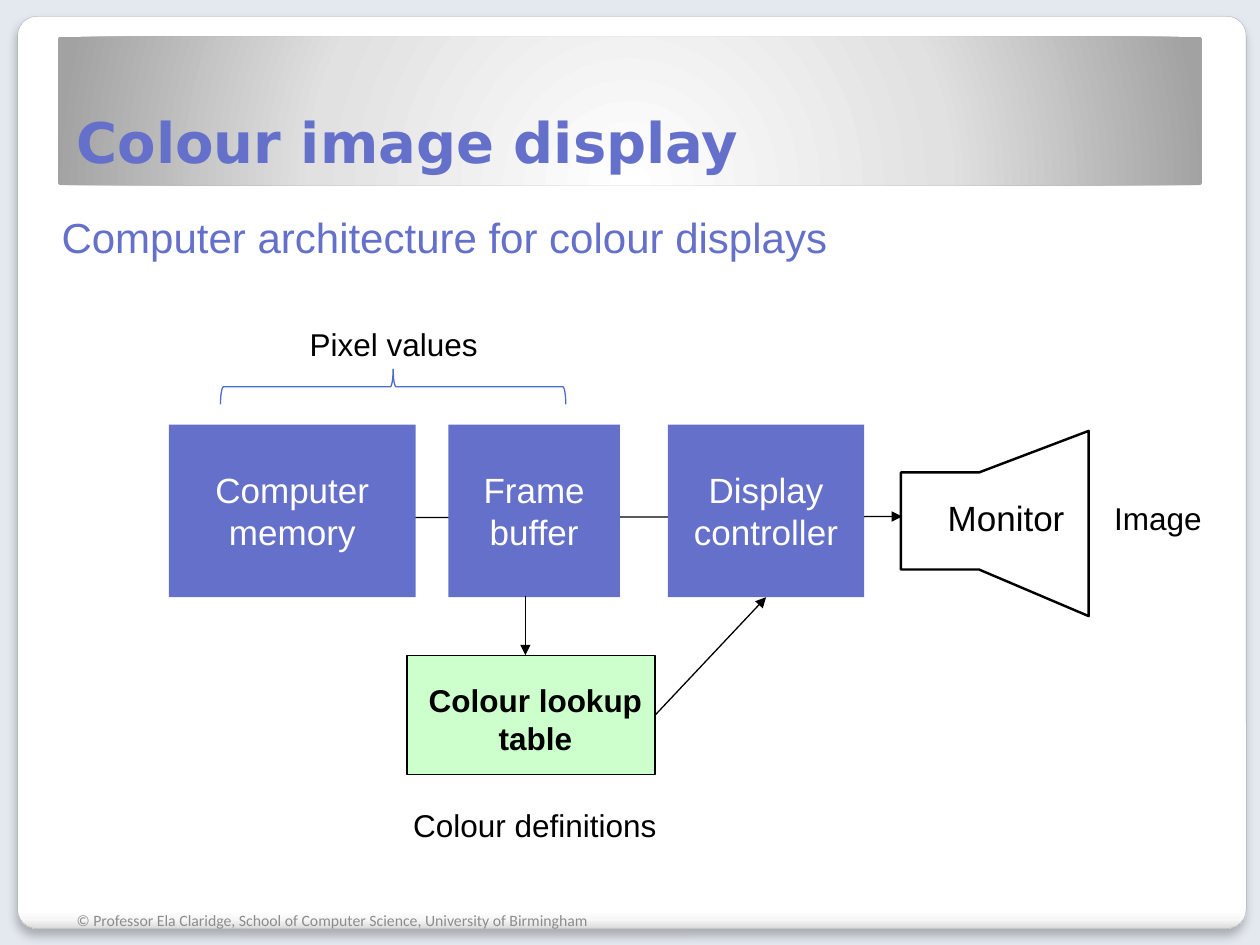
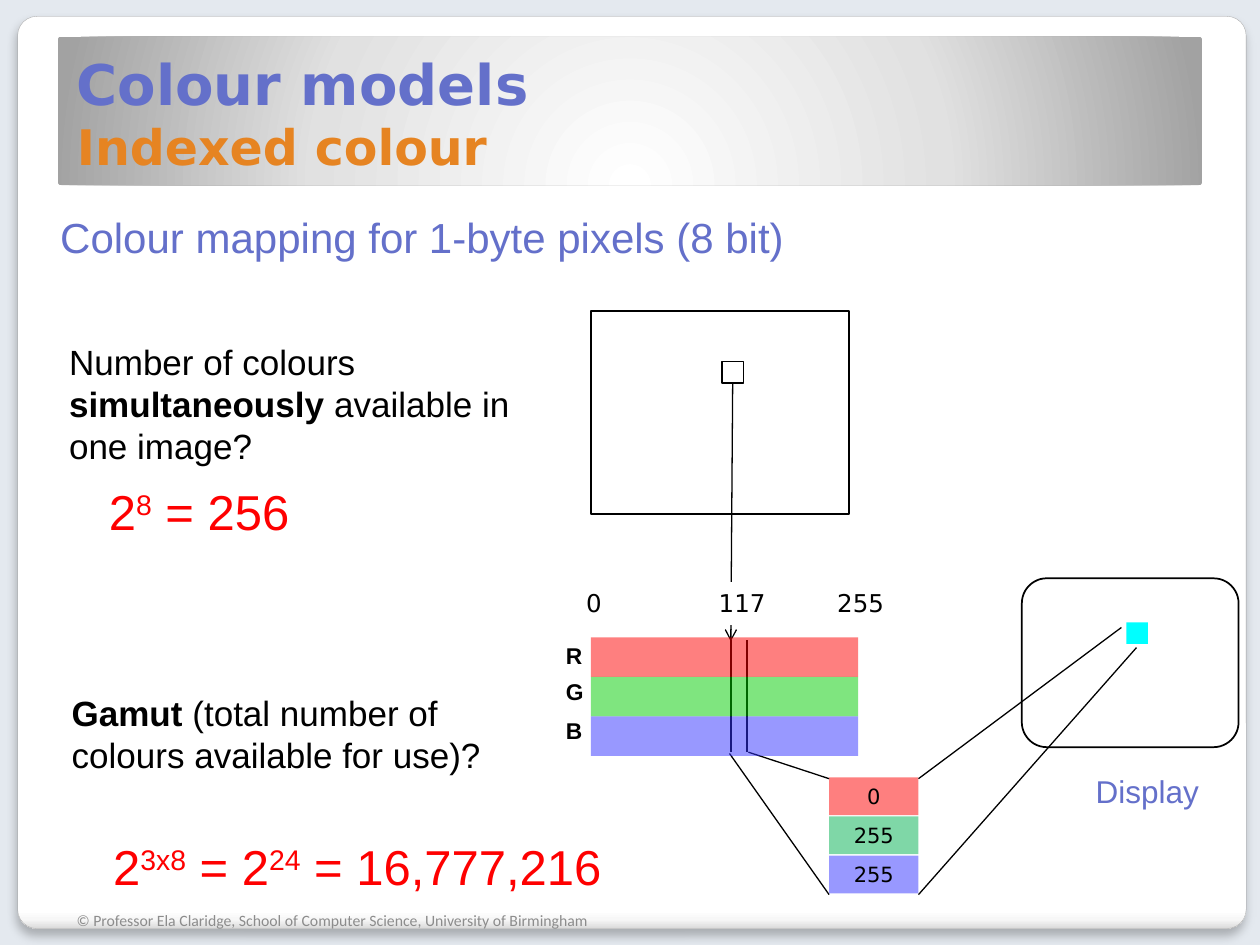
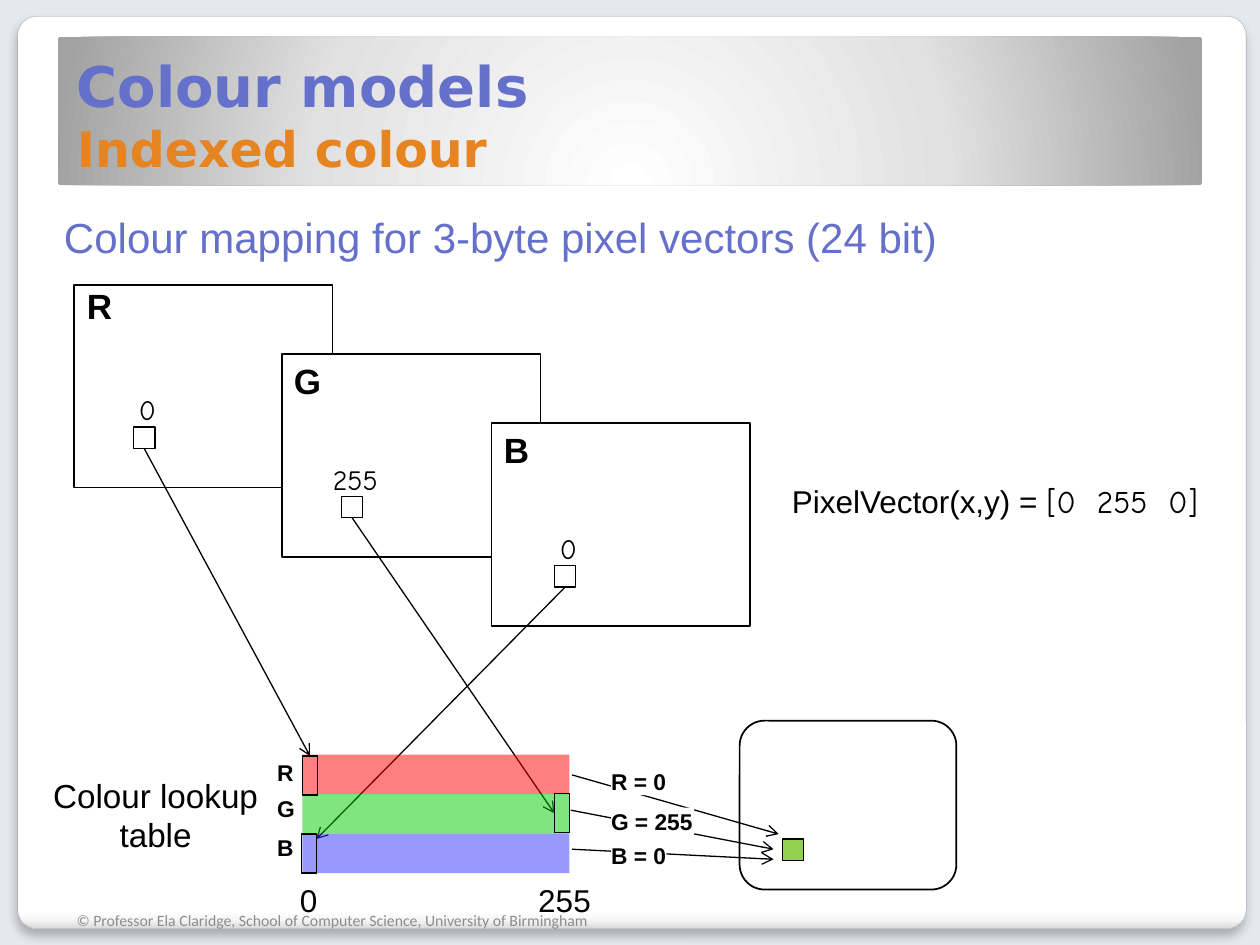
import copy

import lxml.etree
import pptx
import pptx.dml.color
import pptx.enum.shapes
import pptx.enum.text
import pptx.oxml.ns
import pptx.util

Inches, Pt, qn = pptx.util.Inches, pptx.util.Pt, pptx.oxml.ns.qn
SHAPE = pptx.enum.shapes.MSO_SHAPE
ANCHOR = pptx.enum.text.MSO_ANCHOR
LEFT, CENTER = pptx.enum.text.PP_ALIGN.LEFT, pptx.enum.text.PP_ALIGN.CENTER
AUTO = pptx.enum.text.MSO_AUTO_SIZE

BLACK, WHITE, INDIGO, ORANGE = "000000", "FFFFFF", "6470CA", "E68422"
RED, GREEN, BLUE = "FE0000", "00CC00", "3333FF"
SUP = {"base": 30}
PIXEL = 0.17
FRAME = (2.05, 1.61)
TABLE_W, TABLE_H = 2.12, 0.94
FOOTER = ("© Professor Ela Claridge, School of Computer Science, "
          "University of Birmingham")


def rgb(value):
    return pptx.dml.color.RGBColor.from_string(value)


def child(parent, tag, **attrs):
    return lxml.etree.SubElement(
        parent, qn(tag), {k: str(v) for k, v in attrs.items()})


def inches(values):
    return [Inches(v) for v in values]


class Deck:
    """Holds the shared style and the slide being drawn."""

    def __init__(self):
        self.prs = pptx.Presentation()
        self.prs.slide_width, self.prs.slide_height = inches((10, 7.5))
        fill = self.prs.slide_master.background.fill
        fill.solid()
        fill.fore_color.rgb = rgb("E4E9EF")
        self.s = None

    def slide(self, title, subtitle=None, box=(0.51, 0.29, 8.95, 1.15)):
        self.s = self.prs.slides.add_slide(self.prs.slide_layouts[5])
        self.background()
        sp = self.s.shapes.title
        self.s.shapes.element.append(sp.element)
        sp.left, sp.top, sp.width, sp.height = inches(box)
        tf = sp.text_frame
        tf.auto_size = AUTO.NONE
        tf.vertical_anchor = ANCHOR.BOTTOM
        p = tf.paragraphs[0]
        p.alignment = LEFT
        style = dict(font="DejaVu Sans", bold=True)
        self.runs(p, [title], size=32, color=INDIGO, **style)
        if subtitle:
            p.add_line_break()
            # The break takes the size of the line it ends.
            p._p[-1].append(copy.deepcopy(p.runs[0]._r.rPr))
            self.runs(p, [subtitle], size=28, color=ORANGE, **style)

    def background(self):
        card = self.shape((0.14, 0.13, 9.75, 7.24), SHAPE.ROUNDED_RECTANGLE,
                          line="A4A4A4", width=0.16, adj=0.021)
        grad = self.gradient(card, [(0, WHITE), (98, WHITE), (99, "F7F7F7"),
                                    (100, "DADADA")])
        child(grad, "a:lin", ang=90 * 60000, scaled=0)
        shadow = child(card.element.spPr.find(qn("a:effectLst")),
                       "a:outerShdw", blurRad=Pt(6), dist=Pt(4),
                       dir=90 * 60000, algn="ctr", rotWithShape=0)
        color = child(shadow, "a:srgbClr", val=BLACK)
        child(color, "a:alpha", val=25000)

        band = self.shape((0.46, 0.29, 9.08, 1.18), SHAPE.ROUNDED_RECTANGLE,
                          adj=0.021)
        grad = self.gradient(band, [(0, WHITE), (55, "E1E1E1"),
                                    (100, "A2A2A2")])
        circle = child(grad, "a:path", path="circle")
        child(circle, "a:fillToRect", l=50000, t=175000, r=50000, b=-75000)

    def gradient(self, sp, stops):
        """Sets the colour stops; the caller adds the direction."""
        sp.fill.gradient()
        grad = sp.element.spPr.find(qn("a:gradFill"))
        for old in list(grad):
            grad.remove(old)
        gs_list = child(grad, "a:gsLst")
        for pos, color in stops:
            child(child(gs_list, "a:gs", pos=pos * 1000), "a:srgbClr",
                  val=color)
        return grad

    def paint(self, sp, fill=None, line=None, width=0.75, alpha=None):
        if fill:
            sp.fill.solid()
            sp.fill.fore_color.rgb = rgb(fill)
            if alpha:
                color = sp.element.spPr.find(qn("a:solidFill"))[0]
                child(color, "a:alpha", val=alpha * 1000)
        else:
            sp.fill.background()
        if line:
            sp.line.color.rgb = rgb(line)
            sp.line.width = Pt(width)
        else:
            sp.line.fill.background()

    def shape(self, box, kind=SHAPE.RECTANGLE, adj=None, text=None,
              text_style=None, **look):
        sp = self.s.shapes.add_shape(kind, *inches(box))
        sp.shadow.inherit = False
        if adj is not None:
            sp.adjustments[0] = adj
        self.paint(sp, **look)
        if text:
            sp.text_frame.vertical_anchor = ANCHOR.MIDDLE
            p = sp.text_frame.paragraphs[0]
            p.alignment = CENTER
            self.runs(p, [text], **text_style)
        return sp

    def outline(self, points, width):
        start, *rest = [inches(pt) for pt in points]
        builder = self.s.shapes.build_freeform(*start, scale=1.0)
        builder.add_line_segments(rest, close=True)
        sp = builder.convert_to_shape()
        sp.shadow.inherit = False
        self.paint(sp, line=BLACK, width=width)

    def line(self, start, end, width=0.75, head=None):
        c = self.s.shapes.add_connector(
            pptx.enum.shapes.MSO_CONNECTOR.STRAIGHT, *inches(start + end))
        c.line.color.rgb = rgb(BLACK)
        c.line.width = Pt(width)
        spPr = c.element.find(qn("p:spPr"))
        if head:
            child(spPr.find(qn("a:ln")), "a:tailEnd", type=head)
        child(spPr, "a:effectLst")
        return c

    def runs(self, p, runs, **style):
        """Adds runs: plain strings, or (string, changes to the style)."""
        for item in runs:
            text, change = (item, {}) if isinstance(item, str) else item
            look = {"font": "Arial", "color": BLACK, "bold": False,
                    **style, **change}
            r = p.add_run()
            r.text = text
            r.font.name = look["font"]
            r.font.size = Pt(look["size"])
            r.font.bold = look["bold"]
            r.font.color.rgb = rgb(look["color"])
            if "base" in look:
                r._r.rPr.set("baseline", str(look["base"] * 1000))

    def text(self, box, *paragraphs, wrap=False, align=CENTER, inset=True,
             fill=None, anchor=ANCHOR.TOP, grow=True, **style):
        sp = self.s.shapes.add_textbox(*inches(box))
        if fill:
            self.paint(sp, fill)
        tf = sp.text_frame
        tf.word_wrap = wrap
        tf.auto_size = AUTO.SHAPE_TO_FIT_TEXT if grow else AUTO.NONE
        tf.vertical_anchor = anchor
        if not inset:
            tf.margin_left = tf.margin_right = 0
            tf.margin_top = tf.margin_bottom = 0
        for i, runs in enumerate(paragraphs):
            p = tf.add_paragraph() if i else tf.paragraphs[0]
            p.alignment = align
            self.runs(p, [runs] if isinstance(runs, str) else runs, **style)

    def heading(self, left, width, text):
        self.text((left, 1.63, width, 0.5), text, wrap=True, align=LEFT,
                  size=24, color=INDIGO)

    def footer(self):
        self.text((0.51, 7.1, 4.46, 0.4), FOOTER, wrap=True, align=LEFT,
                  anchor=ANCHOR.MIDDLE, grow=False, size=9, font="Calibri",
                  color="8C8C8C")

    def frame(self, left, top):
        self.shape((left, top) + FRAME, fill=WHITE, line=BLACK, width=1)

    def pixel(self, left, top, fill=None, line=BLACK):
        return self.shape((left, top, PIXEL, PIXEL), fill=fill, line=line)

    def screen(self, left, top):
        self.shape((left, top, 1.72, 1.34), SHAPE.ROUNDED_RECTANGLE,
                   adj=0.148, fill=WHITE, line=BLACK, width=1)

    def lookup_table(self, left, top):
        """Three translucent bands with the letters R, G and B."""
        band_h = TABLE_H / 3
        for i, color in enumerate((RED, GREEN, BLUE)):
            self.shape((left, top + i * band_h, TABLE_W, band_h),
                       fill=color, alpha=50)
        for letter, dy in zip("RGB", (0.03, 0.32, 0.63)):
            self.text((left - 0.2, top + dy, 0.12, 0.22), letter,
                      inset=False, size=13, bold=True)


def display_slide(d):
    d.slide("Colour image display")
    d.line((1.81, 4.11), (7.16, 4.1), head="triangle")
    boxes = [d.shape((left, 3.37, width, 1.37), fill=INDIGO, text=name,
                     text_style=dict(size=20, color=WHITE))
             for left, width, name in ((1.34, 1.96, "Computer memory"),
                                       (3.56, 1.36, "Frame buffer"),
                                       (5.3, 1.56, "Display controller"))]
    controller = boxes[-1]

    d.outline([(7.15, 3.75), (7.15, 4.52), (7.77, 4.52), (8.64, 4.89),
               (8.64, 3.42), (7.77, 3.75)], width=1.38)
    d.text((7.42, 3.89, 1.13, 0.43), "Monitor", size=20)

    lookup = d.shape((3.23, 5.2, 1.97, 0.95), fill="CCFFCC", line=BLACK)
    d.text((3.3, 5.36, 1.9, 0.7), "Colour lookup", "table", size=18,
           bold=True)
    arrow = d.line((5.2, 5.67), (6.06, 4.73), head="triangle")
    arrow.begin_connect(lookup, 3)
    arrow.end_connect(controller, 2)
    d.line((4.17, 4.73), (4.17, 5.2), head="triangle")

    for box, label in (((2.35, 2.53, 1.55, 0.4), "Pixel values"),
                       ((3.17, 6.35, 2.15, 0.4), "Colour definitions"),
                       ((8.74, 3.91, 0.9, 0.4), "Image")):
        d.text(box, label, size=18)
    brace = d.shape((2.98, 1.7, 0.28, 2.74), SHAPE.LEFT_BRACE, line="4B6CC9")
    brace.rotation = 90
    d.heading(0.39, 6.6, "Computer architecture for colour displays")
    d.footer()


def indexed_slide(d):
    d.slide("Colour models", "Indexed colour")
    d.text((0.45, 2.65, 3.8, 1.11),
           ["Number of colours ", ("simultaneously", {"bold": True}),
            " available in one image?"], wrap=True, align=LEFT, size=20)
    d.text((0.47, 5.44, 3.49, 0.77),
           [("Gamut", {"bold": True}),
            " (total number of colours available for use)?"],
           wrap=True, align=LEFT, size=20)
    d.text((0.75, 3.77, 1.66, 0.57), ["2", ("8", SUP), " = 256"],
           size=28, color=RED)
    d.text((0.8, 6.59, 4.19, 0.57),
           ["2", ("3x8", SUP), " = 2", ("24", SUP), " = 16,777,216"],
           align=LEFT, size=28, color=RED)

    d.frame(4.69, 2.47)
    source = d.pixel(5.73, 2.87)
    d.line((5.81, 3.04), (5.8, 5.09), head="arrow").begin_connect(source, 2)

    for i, (value, color) in enumerate((("0", RED), ("255", "00B050"),
                                        ("255", BLUE))):
        d.shape((6.58, 6.17 + i * 0.31, 0.71, 0.3), fill=color, alpha=50,
                text=value, text_style=dict(size=12, font="DejaVu Sans"))
    for x in (5.8, 5.93):
        d.line((x, 5.08), (x, 5.97), width=1)
    d.screen(8.11, 4.59)
    for left, width, index in ((4.55, 0.33, "0"), (5.6, 0.58, "117"),
                               (6.54, 0.58, "255")):
        d.text((left, 4.62, width, 0.34), index, fill=WHITE, size=14,
               font="DejaVu Sans")
    for start, end in (((5.94, 5.97), (6.58, 6.18)),
                       ((5.79, 5.98), (6.58, 7.1)),
                       ((7.29, 6.18), (8.9, 4.98)),
                       ((7.29, 7.1), (9.02, 5.14))):
        d.line(start, end)
    d.pixel(8.94, 4.94, fill="00FFFF", line=None)
    d.text((8.59, 6.08, 1.03, 0.4), "Display", size=18, color=INDIGO)
    d.lookup_table(4.69, 5.06)
    d.heading(0.38, 8.56, "Colour mapping for 1-byte pixels (8 bit)")
    d.footer()


def vector_slide(d):
    d.slide("Colour models", "Indexed colour", box=(0.51, 0.21, 9.37, 1.25))
    d.text((0.41, 6.15, 1.65, 0.64), "Colour lookup", "table", inset=False,
           size=19)
    d.screen(5.87, 5.72)
    d.text((6.14, 3.78, 3.51, 0.4),
           ["PixelVector(x,y) = ", ("[0  255  0]", {"font": "Comic Neue"})],
           size=18)

    planes = (("R", 0.59, 2.26, 1.06, "0", 0.34),
              ("G", 2.24, 2.81, 2.71, "255", 0.61),
              ("B", 3.9, 3.36, 4.4, "0", 0.34))
    pixels = []
    for letter, left, top, pixel_left, value, width in planes:
        d.frame(left, top)
        pixels.append(d.pixel(pixel_left, top + 1.13))
        label_top = top if letter == "R" else top + 0.04
        d.text((left + 0.04, label_top, 0.32, 0.34), letter, wrap=True,
               inset=False, size=20, bold=True)
        value_left = pixel_left + 0.11 - width / 2
        d.text((value_left, top + 0.81, width, 0.37), value, size=16,
               font="Comic Neue")

    arrows = []
    for pixel, start, end in zip(
            pixels, ((1.15, 3.56), (2.79, 4.11), (4.48, 4.66)),
            ((2.46, 6), (4.4, 6.46), (2.51, 6.66))):
        arrow = d.line(start, end, head="arrow")
        arrow.begin_connect(pixel, 2)
        arrows.append(arrow)

    for left, width, index in ((2.28, 0.34, "0"), (4.17, 0.62, "255")):
        d.text((left, 6.94, width, 0.4), index, size=18)
    for start, end in (((4.54, 6.15), (6.18, 6.62)),
                       ((4.53, 6.43), (6.14, 6.74)),
                       ((4.54, 6.74), (6.14, 6.82))):
        d.line(start, end, head="arrow")
    for top, width, label in ((6.09, 0.44, "R = 0"), (6.41, 0.66, "G = 255"),
                              (6.68, 0.44, "B = 0")):
        d.text((4.85, top, width, 0.22), label, align=LEFT, inset=False,
               fill=WHITE, size=13, bold=True)
    d.pixel(6.21, 6.66, fill="92D050")

    d.lookup_table(2.4, 5.99)
    entries = [d.shape((left, top, 0.12, 0.31), line=BLACK)
               for left, top in ((2.4, 6), (4.4, 6.3), (2.39, 6.62))]
    arrows[0].end_connect(entries[0], 0)
    arrows[1].end_connect(entries[1], 1)
    d.heading(0.41, 9.04, "Colour mapping for 3-byte pixel vectors (24 bit)")
    d.footer()


def main():
    d = Deck()
    display_slide(d)
    indexed_slide(d)
    vector_slide(d)
    d.prs.save("out.pptx")


if __name__ == "__main__":
    main()
